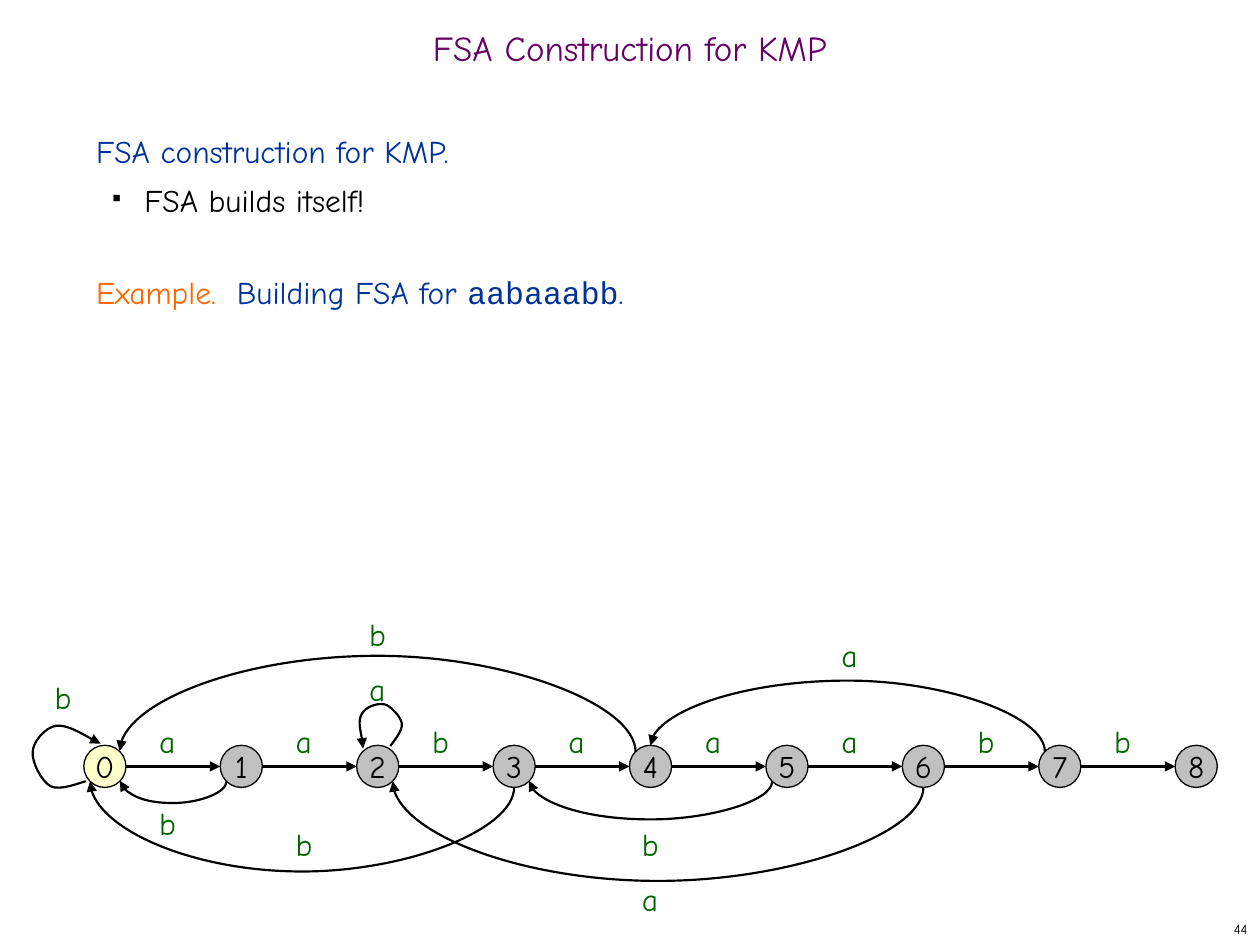
from dataclasses import dataclass
from enum import Enum

from lxml.etree import SubElement
from pptx import Presentation
from pptx.dml.color import RGBColor
from pptx.enum.shapes import MSO_CONNECTOR, MSO_SHAPE
from pptx.enum.text import MSO_ANCHOR, MSO_AUTO_SIZE, PP_ALIGN
from pptx.oxml.ns import qn
from pptx.util import Cm, Pt


@dataclass(frozen=True)
class Theme:
    font: str = "Comic Neue"
    code_font: str = "Courier New"
    black: str = "000000"
    title: str = "660066"
    heading: str = "003399"
    accent: str = "FF6600"
    label: str = "006600"
    state: str = "C0C0C0"
    start_state: str = "FFFFCC"
    title_size: float = 20
    text_size: float = 18
    number_size: float = 8
    outline: float = 0.75
    arrow: float = 1.25


class Anchor(Enum):
    TOP = (0, -0.42)
    TOP_LEFT = (-0.3, -0.3)
    TOP_RIGHT = (0.3, -0.3)
    BOTTOM = (0, 0.42)
    BOTTOM_LEFT = (-0.3, 0.3)
    BOTTOM_RIGHT = (0.3, 0.3)


@dataclass(frozen=True)
class Transition:
    source: int
    source_anchor: Anchor
    target: int
    target_anchor: Anchor
    bend: float
    symbol: str
    label_top: float


@dataclass(frozen=True)
class Loop:
    points: tuple
    symbol: str
    label_left: float
    label_top: float


THEME = Theme()
PATTERN = "aabaaabb"
DIAMETER = 0.85
PITCH = 2.75
FIRST_LEFT = 1.69
ROW_CENTER = 15.45
LABEL_GAP = 1.27
MINIMUM_RISE = 0.02

TRANSITIONS = (
    Transition(1, Anchor.BOTTOM_LEFT, 0, Anchor.BOTTOM_RIGHT, 16.18, "b", 16.09),
    Transition(5, Anchor.BOTTOM_LEFT, 3, Anchor.BOTTOM_RIGHT, 16.51, "b", 16.51),
    Transition(7, Anchor.TOP_LEFT, 4, Anchor.TOP, 13.72, "a", 12.7),
    Transition(4, Anchor.TOP_LEFT, 0, Anchor.TOP_RIGHT, 13.21, "b", 12.28),
    Transition(3, Anchor.BOTTOM, 0, Anchor.BOTTOM_LEFT, 17.57, "b", 16.51),
    Transition(6, Anchor.BOTTOM, 2, Anchor.BOTTOM_RIGHT, 17.76, "a", 17.61),
)
LOOPS = (
    Loop(((1.73, 15.75), (1.63, 15.77), (1.22, 15.95), (1.02, 15.85),
          (0.84, 15.75), (0.64, 15.37), (0.66, 15.16),
          (0.66, 14.96), (0.91, 14.66), (1.14, 14.63),
          (1.37, 14.61), (1.85, 14.91), (2.03, 14.99)), "b", 0.85, 13.55),
    Loop(((7.87, 15.04), (7.92, 14.96), (8.13, 14.73), (8.1, 14.58),
          (8.08, 14.45), (7.87, 14.22), (7.75, 14.2),
          (7.59, 14.17), (7.37, 14.25), (7.29, 14.4),
          (7.21, 14.55), (7.32, 14.94), (7.32, 15.09)), "a", 7.19, 13.39),
)


def state_left(state: int) -> float:
    return FIRST_LEFT + PITCH * state


def anchor_point(state: int, anchor: Anchor) -> tuple:
    across, down = anchor.value
    return state_left(state) + DIAMETER / 2 + across, ROW_CENTER + down


def label_left(source: int, target: int) -> float:
    state, between = divmod(source + target, 2)
    return state_left(state) + LABEL_GAP * between


def add_run(paragraph, text: str, color: str, size: float = THEME.text_size,
            font: str = THEME.font) -> None:
    run = paragraph.add_run()
    run.text = text
    run.font.name = font
    run.font.size = Pt(size)
    run.font.color.rgb = RGBColor.from_string(color)


def add_text_frame(slide, left: float, top: float, width: float, height: float):
    shape = slide.shapes.add_textbox(Cm(left), Cm(top), Cm(width), Cm(height))
    shape.text_frame.word_wrap = True
    return shape.text_frame


def add_label(slide, symbol: str, left: float, top: float) -> None:
    frame = add_text_frame(slide, left, top, 1.06, 1.02)
    add_run(frame.paragraphs[0], symbol, THEME.label)


def add_state(slide, state: int) -> None:
    shape = slide.shapes.add_shape(
        MSO_SHAPE.OVAL, Cm(state_left(state)), Cm(ROW_CENTER - DIAMETER / 2),
        Cm(DIAMETER), Cm(DIAMETER))
    shape.shadow.inherit = False
    shape.fill.solid()
    shape.fill.fore_color.rgb = RGBColor.from_string(
        THEME.state if state else THEME.start_state)
    shape.line.color.rgb = RGBColor.from_string(THEME.black)
    shape.line.width = Pt(THEME.outline)
    frame = shape.text_frame
    frame.word_wrap = False
    frame.vertical_anchor = MSO_ANCHOR.MIDDLE
    frame.margin_left = frame.margin_right = frame.margin_top = frame.margin_bottom = 0
    frame.paragraphs[0].alignment = PP_ALIGN.CENTER
    add_run(frame.paragraphs[0], str(state), THEME.black)


def format_arrow(shape) -> None:
    shape.line.color.rgb = RGBColor.from_string(THEME.black)
    shape.line.width = Pt(THEME.arrow)
    SubElement(shape.line._get_or_add_ln(), qn("a:tailEnd"), type="triangle")
    SubElement(shape._element.spPr, qn("a:effectLst"))


def add_step(slide, state: int, symbol: str) -> None:
    connector = slide.shapes.add_connector(
        MSO_CONNECTOR.STRAIGHT, Cm(state_left(state) + DIAMETER), Cm(ROW_CENTER),
        Cm(state_left(state + 1)), Cm(ROW_CENTER))
    format_arrow(connector)
    add_label(slide, symbol, label_left(state, state + 1), 14.43)


def add_transition(slide, transition: Transition) -> None:
    start_x, start_y = anchor_point(transition.source, transition.source_anchor)
    end_x, end_y = anchor_point(transition.target, transition.target_anchor)
    rise = max(start_y - end_y, MINIMUM_RISE)
    span = start_x - end_x
    left = (start_x + end_x - rise) / 2
    top = (start_y + end_y - span) / 2
    connector = slide.shapes.add_connector(
        MSO_CONNECTOR.CURVE, Cm(left), Cm(top), Cm(left + rise), Cm(top + span))
    below = transition.bend > ROW_CENTER
    properties = connector._element.spPr
    frame = properties.find(qn("a:xfrm"))
    frame.set("rot", str((270 if below else 90) * 60000))
    frame.set("flipV" if below else "flipH", "1")
    adjustment = round((start_y - transition.bend) / rise * 100000)
    SubElement(properties.find(qn("a:prstGeom")).find(qn("a:avLst")), qn("a:gd"),
               name="adj1", fmla=f"val {adjustment}")
    format_arrow(connector)
    add_label(slide, transition.symbol,
              label_left(transition.source, transition.target), transition.label_top)


def add_loop(slide, loop: Loop) -> None:
    start, *points = [(Cm(x), Cm(y)) for x, y in loop.points]
    builder = slide.shapes.build_freeform(*start)
    builder.add_line_segments(points, close=False)
    shape = builder.convert_to_shape()
    segments = list(shape._element.iter(qn("a:lnTo")))
    outline = segments[0].getparent()
    for first in range(0, len(segments), 3):
        curve = SubElement(outline, qn("a:cubicBezTo"))
        for segment in segments[first:first + 3]:
            curve.append(segment[0])
            outline.remove(segment)
    shape.fill.background()
    format_arrow(shape)
    add_label(slide, loop.symbol, loop.label_left, loop.label_top)


def add_title(slide) -> None:
    title = slide.shapes.title
    title.left, title.top, title.width, title.height = Cm(0), Cm(0.42), Cm(25.4), Cm(1.27)
    frame = title.text_frame
    frame.auto_size = MSO_AUTO_SIZE.NONE
    frame.vertical_anchor = MSO_ANCHOR.MIDDLE
    paragraph = frame.paragraphs[0]
    paragraph.alignment = PP_ALIGN.CENTER
    paragraph.line_spacing = 0.7
    add_run(paragraph, "FSA Construction for KMP", THEME.title, THEME.title_size)


def add_body(slide) -> None:
    frame = add_text_frame(slide, 1.69, 2.54, 21.8, 6)
    add_run(frame.paragraphs[0], "FSA construction for KMP.", THEME.heading)
    bullet = frame.add_paragraph()
    bullet.line_spacing = 1.1
    bullet.space_before = Pt(4)
    add_run(bullet, "FSA builds itself!", THEME.black)
    properties = bullet._p.get_or_add_pPr()
    properties.set("marL", str(Cm(0.97)))
    properties.set("indent", str(-Cm(0.64)))
    color = SubElement(properties, qn("a:buClr"))
    SubElement(color, qn("a:srgbClr"), val=THEME.black)
    SubElement(properties, qn("a:buSzPct"), val="35000")
    SubElement(properties, qn("a:buChar"), char="■")
    example = frame.add_paragraph()
    example.space_before = Pt(31)
    add_run(example, "Example.", THEME.accent)
    add_run(example, "  Building FSA for ", THEME.heading)
    add_run(example, PATTERN, THEME.heading, font=THEME.code_font)
    add_run(example, ".", THEME.heading)


def add_slide_number(slide) -> None:
    frame = add_text_frame(slide, 20.12, 18.42, 5.28, 0.63)
    frame.vertical_anchor = MSO_ANCHOR.MIDDLE
    frame.paragraphs[0].alignment = PP_ALIGN.RIGHT
    add_run(frame.paragraphs[0], "44", THEME.black, THEME.number_size)


def main() -> None:
    presentation = Presentation()
    presentation.slide_width, presentation.slide_height = Cm(25.4), Cm(19.05)
    slide = presentation.slides.add_slide(presentation.slide_layouts[5])
    add_slide_number(slide)
    add_title(slide)
    add_body(slide)
    for state in range(len(PATTERN) + 1):
        add_state(slide, state)
    for state, symbol in enumerate(PATTERN):
        add_step(slide, state, symbol)
    for transition in TRANSITIONS:
        add_transition(slide, transition)
    for loop in LOOPS:
        add_loop(slide, loop)
    presentation.save("out.pptx")


if __name__ == "__main__":
    main()
